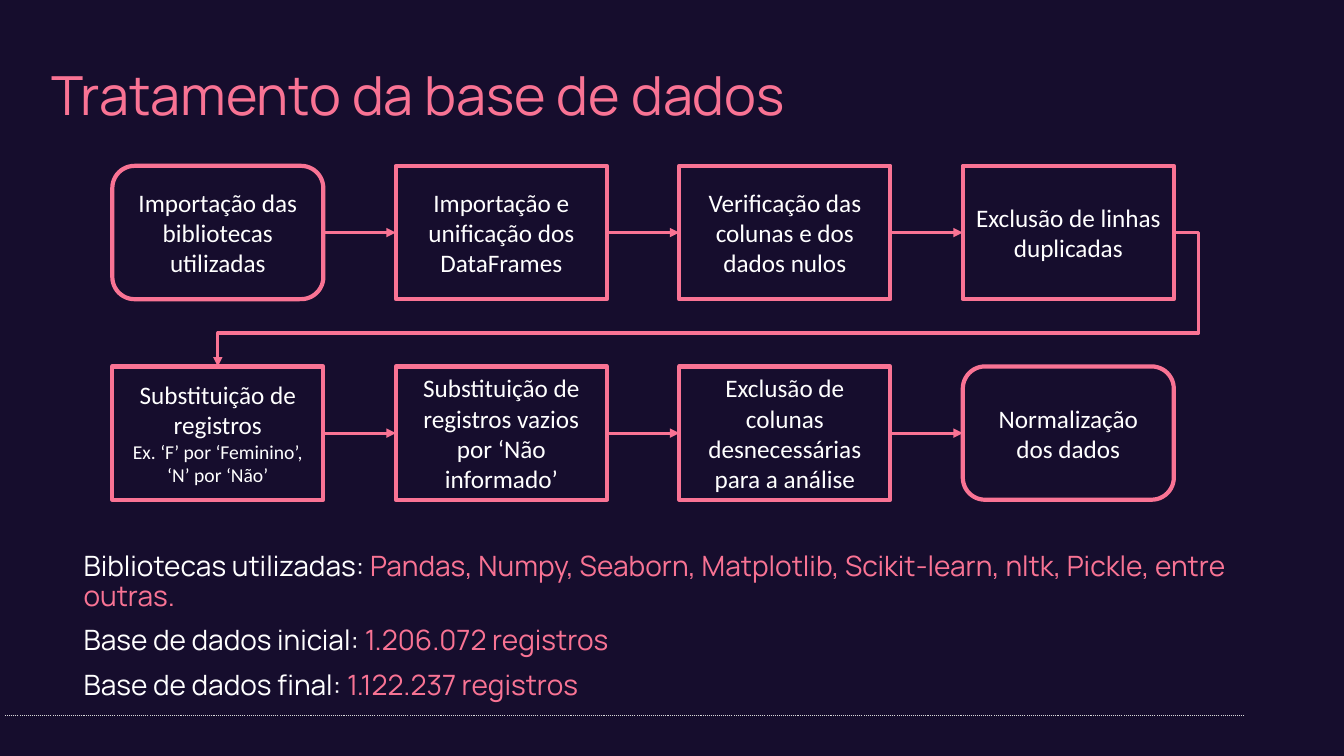
import pptx
import pptx.dml.color
import pptx.enum.dml
import pptx.enum.shapes
import pptx.enum.text
import pptx.oxml
import pptx.oxml.ns
import pptx.util

COLOURS = {"night": "160D2D", "pink": "F97394", "white": "FFFFFF", "grey": "D9D9D9"}
SHAPES = pptx.enum.shapes.MSO_SHAPE
CONNECTORS = pptx.enum.shapes.MSO_CONNECTOR
ALIGN = pptx.enum.text.PP_ALIGN
ANCHOR = pptx.enum.text.MSO_ANCHOR
TOP, LEFT, RIGHT = 0, 1, 3


class Flowchart:
    """Hold the style and the current page, and draw each kind of element."""

    scale = 9525
    heading_font = "Manrope"
    step_font = "Calibri"

    def __init__(self, deck):
        self.page = deck.slides.add_slide(deck.slide_layouts[1])
        fill = self.page.background.fill
        fill.solid()
        fill.fore_color.rgb = self.colour("night")

    def colour(self, name):
        return pptx.dml.color.RGBColor.from_string(COLOURS[name])

    def px(self, *lengths):
        return [pptx.util.Emu(length * self.scale) for length in lengths]

    def element(self, parent, tag, **attributes):
        child = pptx.oxml.parse_xml(f"<a:{tag} {pptx.oxml.ns.nsdecls('a')}/>")
        for key, value in attributes.items():
            child.set(key, value)
        parent.append(child)
        return child

    def span(self, para, text, size, colour, font):
        span = para.add_run()
        span.text = text
        span.font.size = pptx.util.Pt(size)
        span.font.name = font
        span.font.color.rgb = self.colour(colour)

    def place(self, box, left, top, width, height):
        box.left, box.top, box.width, box.height = self.px(left, top, width, height)
        frame = box.text_frame
        frame.word_wrap = True
        frame.auto_size = pptx.enum.text.MSO_AUTO_SIZE.NONE
        frame.vertical_anchor = ANCHOR.TOP
        return frame

    def title(self, text, *area):
        frame = self.place(self.page.shapes.title, *area)
        frame.margin_left = frame.margin_top = frame.margin_right = frame.margin_bottom = 0
        para = frame.paragraphs[0]
        para.alignment = ALIGN.LEFT
        para.line_spacing = 0.9
        self.span(para, text, 38.5, "pink", self.heading_font)

    def facts(self, rows, *area):
        frame = self.place(self.page.placeholders[1], *area)
        for index, (label, value) in enumerate(rows):
            para = frame.add_paragraph() if index else frame.paragraphs[0]
            properties = para._p.get_or_add_pPr()
            properties.set("marL", "0")
            properties.set("indent", "0")
            self.element(properties, "buNone")
            para.alignment = ALIGN.LEFT
            para.line_spacing = 0.9
            para.space_before = pptx.util.Pt(10 if index else 0)
            self.span(para, label + " ", 20, "white", self.heading_font)
            self.span(para, value, 20, "pink", self.heading_font)

    def step(self, kind, lines, *area):
        box = self.page.shapes.add_shape(kind, *self.px(*area))
        box.shadow.inherit = False
        box.fill.background()
        box.line.color.rgb = self.colour("pink")
        box.line.width = pptx.util.Pt(3)
        frame = box.text_frame
        frame.word_wrap = True
        frame.vertical_anchor = ANCHOR.MIDDLE
        for index, (text, size) in enumerate(lines):
            para = frame.add_paragraph() if index else frame.paragraphs[0]
            para.alignment = ALIGN.CENTER
            self.span(para, text, size, "white", self.step_font)
        return box

    def line(self, kind, colour, width, *ends):
        line = self.page.shapes.add_connector(kind, *self.px(*ends))
        line.line.color.rgb = self.colour(colour)
        line.line.width = pptx.util.Pt(width)
        self.element(line._element.spPr, "effectLst")
        return line

    def arrow(self, kind, start, end, end_side):
        arrow = self.line(kind, "pink", 2.25, 0, 0, 0, 0)
        arrow.begin_connect(start, RIGHT)
        arrow.end_connect(end, end_side)
        outline = arrow._element.spPr.find(pptx.oxml.ns.qn("a:ln"))
        self.element(outline, "tailEnd", type="triangle")
        return arrow

    def wrap_arrow(self, start, end):
        arrow = self.arrow(CONNECTORS.ELBOW, start, end, TOP)
        geometry = arrow._element.spPr.find(pptx.oxml.ns.qn("a:prstGeom"))
        geometry.set("prst", "bentConnector4")
        for child in list(geometry):
            geometry.remove(child)
        guides = self.element(geometry, "avLst")
        self.element(guides, "gd", name="adj1", fmla="val -2600")
        self.element(guides, "gd", name="adj2", fmla="val 75000")

    def dotted_rule(self, *ends):
        rule = self.line(CONNECTORS.STRAIGHT, "grey", 0.75, *ends)
        rule.line.dash_style = pptx.enum.dml.MSO_LINE.ROUND_DOT


STEPS = [
    [("Importação das bibliotecas utilizadas", 18)],
    [("Importação e unificação dos DataFrames", 18)],
    [("Verificação das colunas e dos dados nulos", 18)],
    [("Exclusão de linhas duplicadas", 18)],
    [("Substituição de registros", 18), ("Ex. ‘F’ por ‘Feminino’, ‘N’ por ‘Não’", 14)],
    [("Substituição de registros vazios por ‘Não informado’", 18)],
    [("Exclusão de colunas desnecessárias para a análise", 18)],
    [("Normalização dos dados", 18)],
]
FACTS = [
    ("Bibliotecas utilizadas:",
     "Pandas, Numpy, Seaborn, Matplotlib, Scikit-learn, nltk, Pickle, entre outras."),
    ("Base de dados inicial:", "1.206.072 registros"),
    ("Base de dados final:", "1.122.237 registros"),
]
COLUMNS = 4


def main():
    deck = pptx.Presentation()
    deck.slide_width = pptx.util.Emu(1280 * Flowchart.scale)
    deck.slide_height = pptx.util.Emu(720 * Flowchart.scale)
    chart = Flowchart(deck)
    chart.dotted_rule(1185, 681, 5, 681)
    chart.title("Tratamento da base de dados", 49, 66, 1171, 57)
    chart.facts(FACTS, 70, 521, 1116, 153)

    boxes = []
    for index, lines in enumerate(STEPS):
        row, column = divmod(index, COLUMNS)
        terminal = index in (0, len(STEPS) - 1)
        kind = SHAPES.ROUNDED_RECTANGLE if terminal else SHAPES.RECTANGLE
        boxes.append(chart.step(kind, lines, 107 + 270 * column, 158 + 191 * row, 201, 127))
    for index, (start, end) in enumerate(zip(boxes, boxes[1:]), 1):
        if index % COLUMNS:
            chart.arrow(CONNECTORS.STRAIGHT, start, end, LEFT)
        else:
            chart.wrap_arrow(start, end)
    deck.save("out.pptx")


if __name__ == "__main__":
    main()
